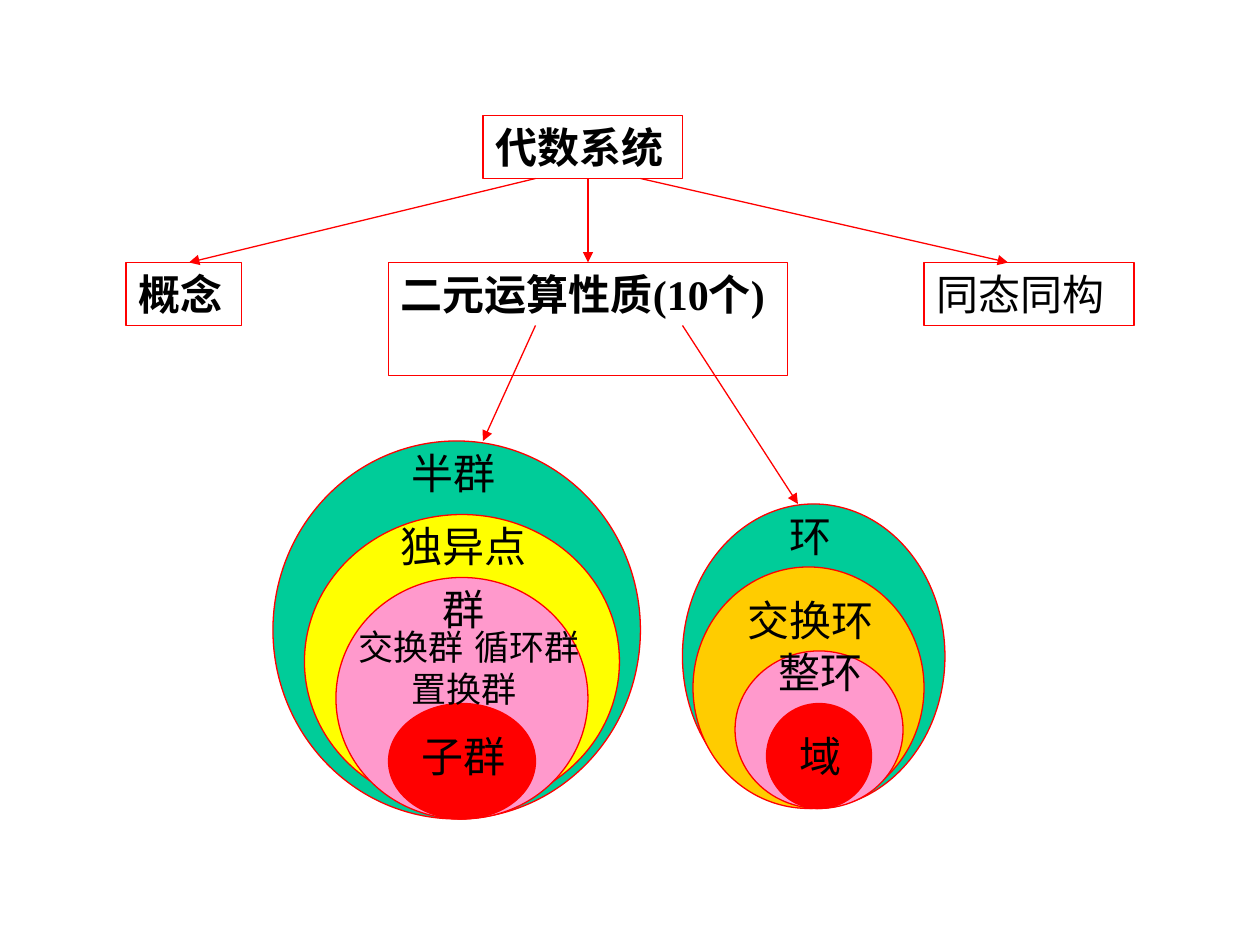
from dataclasses import dataclass

from lxml.etree import SubElement
from pptx import Presentation
from pptx.dml.color import RGBColor as RGB
from pptx.enum.shapes import MSO_CONNECTOR as LINE, MSO_SHAPE as SHAPE
from pptx.enum.text import MSO_ANCHOR as ANCHOR, MSO_AUTO_SIZE as FIT, PP_ALIGN as ALIGN
from pptx.oxml.ns import qn
from pptx.util import Cm, Pt


@dataclass(frozen=True)
class Theme:
    font: str = "Times New Roman"
    text: RGB = RGB(0, 0, 0)
    red: RGB = RGB(0xFF, 0, 0)
    green: RGB = RGB(0, 0xCC, 0x99)
    yellow: RGB = RGB(0xFF, 0xFF, 0)
    orange: RGB = RGB(0xFF, 0xCC, 0)
    pink: RGB = RGB(0xFF, 0x99, 0xCC)
    size: Pt = Pt(24)
    small: Pt = Pt(20)
    line: Pt = Pt(0.75)


theme = Theme()
UNIT = 2.54 / 12  # the drawing grid: twelve units to the inch


def grid(*units):
    return [Cm(n * UNIT) for n in units]


def add_label(box, text, size=theme.size, bold=False):
    sp = slide.shapes.add_textbox(*grid(*box))
    tf = sp.text_frame
    tf.word_wrap = True
    tf.auto_size = FIT.SHAPE_TO_FIT_TEXT
    tf.vertical_anchor = ANCHOR.TOP
    p = tf.paragraphs[0]
    p.alignment = ALIGN.LEFT
    r = p.add_run()
    r.text = text
    r.font.name = theme.font
    r.font.size = size
    r.font.bold = bold
    r.font.color.rgb = theme.text
    return sp


prs = Presentation()
prs.slide_width, prs.slide_height = Cm(25.4), Cm(19.05)
slide = prs.slides.add_slide(prs.slide_layouts[6])

# Framed topics
topics = [
    ((46, 11, 19, 6), "代数系统", True),
    ((12, 25, 11, 6), "概念", True),
    ((37, 25, 38, 10.8), "二元运算性质(10个)", True),
    ((88, 25, 20, 6), "同态同构", False),
]
for box, text, bold in topics:
    sp = add_label(box, text, bold=bold)
    sp.line.color.rgb = theme.red
    sp.line.width = theme.line

# Nested sets, outermost first: oval, fill, label place and width, label
sets = [
    ((26, 42, 35, 36), theme.green, (38, 42, 13), "半群"),
    ((29, 49, 30, 28), theme.yellow, (37, 49, 17), "独异点"),
    ((32, 55, 24, 23), theme.pink, (41, 55, 10), "群"),
    ((37, 67, 14, 11), theme.red, (39, 69, 12), "子群"),
    ((65, 48, 25, 29), theme.green, (74, 48, 8), "环"),
    ((66, 54, 22, 23), theme.orange, (70, 56, 17), "交换环"),
    ((70, 62, 16, 15), theme.pink, (73, 61, 12), "整环"),
    ((73, 67, 10, 10), theme.red, (75, 69, 7), "域"),
]
for oval, fill, place, text in sets:
    sp = slide.shapes.add_shape(SHAPE.OVAL, *grid(*oval))
    sp.shadow.inherit = False
    sp.fill.solid()
    sp.fill.fore_color.rgb = fill
    sp.line.color.rgb = theme.red
    sp.line.width = theme.line
    add_label((*place, 6), text)

# Kinds of group
for place, text in [((33, 59, 16), "交换群"), ((44, 59, 13), "循环群"), ((38, 63, 13), "置换群")]:
    add_label((*place, 5.25), text, theme.small)

# Arrows
arrows = [
    (56, 17, 56, 25),
    (51, 17, 18, 25),
    (61, 17, 96, 25),
    (51, 31, 46, 42),
    (65, 31, 76, 48),
]
for ends in arrows:
    cxn = slide.shapes.add_connector(LINE.STRAIGHT, *grid(*ends))
    cxn.line.color.rgb = theme.red
    cxn.line.width = theme.line
    SubElement(cxn.line._get_or_add_ln(), qn("a:tailEnd"), type="triangle")
    SubElement(cxn._element.spPr, qn("a:effectLst"))

prs.save("out.pptx")
